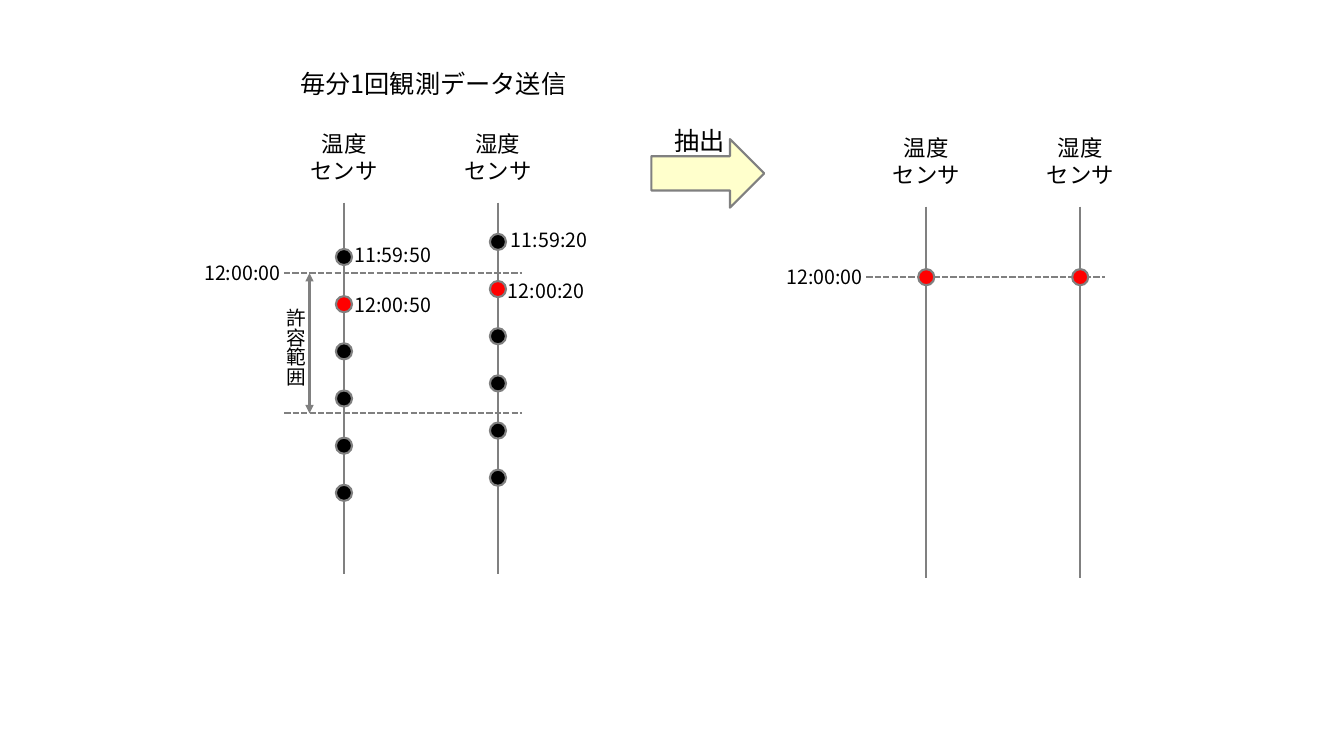
from pptx import Presentation
from pptx.dml.color import RGBColor
from pptx.enum.dml import MSO_LINE
from pptx.enum.shapes import MSO_CONNECTOR, MSO_SHAPE
from pptx.enum.text import MSO_AUTO_SIZE, PP_ALIGN
from pptx.oxml.ns import qn
from pptx.util import Inches, Pt
from lxml import etree

STRAIGHT = MSO_CONNECTOR.STRAIGHT
OVAL, ARROW = MSO_SHAPE.OVAL, MSO_SHAPE.RIGHT_ARROW
DASH = MSO_LINE.SQUARE_DOT
FIT = MSO_AUTO_SIZE.SHAPE_TO_FIT_TEXT
LEFT, CENTER = PP_ALIGN.LEFT, PP_ALIGN.CENTER
BLACK = RGBColor(0x00, 0x00, 0x00)
RED = RGBColor(0xFF, 0x00, 0x00)
GRAY = RGBColor(0x80, 0x80, 0x80)
CREAM = RGBColor(0xFF, 0xFF, 0xCC)
SENSORS = ["温度\nセンサ", "湿度\nセンサ"]
SENSOR_GAP, DOT_GAP, DOT = 15.27, 4.68, 1.6
LEFT_AXIS, RIGHT_AXIS = 34.12, 91.87


class Diagram:
    """Draws elements on a slide, with lengths in cells of a 0.1 inch grid."""

    def __init__(self, slide):
        self.s = slide
        self.font = "Noto Sans CJK JP"
        self.weight = Pt(1.5)
        self.cell = Inches(0.1)

    def grid(self, *cells):
        return [round(c * self.cell) for c in cells]

    def text(self, text, x, y, w, h, size=14, align=LEFT, wrap=False, vert=None):
        tf = self.s.shapes.add_textbox(*self.grid(x, y, w, h)).text_frame
        tf.word_wrap = wrap
        tf.auto_size = FIT
        if vert:
            tf._txBody.bodyPr.set("vert", vert)
        for i, row in enumerate(text.split("\n")):
            p = tf.add_paragraph() if i else tf.paragraphs[0]
            p.alignment = align
            r = p.add_run()
            r.text = row
            r.font.size = Pt(size)
            r.font.color.rgb = BLACK
            r.font.name = self.font
            ea = etree.SubElement(r._r.get_or_add_rPr(), qn("a:ea"))
            ea.set("typeface", self.font)

    def line(self, x1, y1, x2, y2, dash=None, arrows=False):
        c = self.s.shapes.add_connector(STRAIGHT, *self.grid(x1, y1, x2, y2))
        c.line.color.rgb = GRAY
        c.line.width = self.weight
        if dash:
            c.line.dash_style = dash
        if arrows:
            for end in ("a:headEnd", "a:tailEnd"):
                etree.SubElement(c.line._get_or_add_ln(), qn(end)).set("type", "triangle")
        etree.SubElement(c._element.spPr, qn("a:effectLst"))

    def shape(self, kind, x, y, w, h, fill):
        sp = self.s.shapes.add_shape(kind, *self.grid(x, y, w, h))
        sp.shadow.inherit = False
        sp.fill.solid()
        sp.fill.fore_color.rgb = fill
        sp.line.color.rgb = GRAY
        sp.line.width = self.weight

    def dot(self, x, y, fill):
        self.shape(OVAL, x - DOT / 2, y - DOT / 2, DOT, DOT, fill)

    def panel(self, axis, top, dots):
        self.line(axis - 5.95, top + 14.7, axis + 17.7, top + 14.7, dash=DASH)
        self.text("12:00:00", axis - 14.85, top + 13, 9.7, 3.4)
        for i, (label, column) in enumerate(zip(SENSORS, dots)):
            x = axis + i * SENSOR_GAP
            self.text(label, x - 4.4, top, 8.8, 6.4, size=16, align=CENTER)
            self.line(x, top + 7.7, x, top + 44.5)
            for y, fill in column:
                self.dot(x, y, fill)


def readings(first):
    return [(first + i * DOT_GAP, RED if i == 1 else BLACK) for i in range(6)]


def main():
    prs = Presentation()
    prs.slide_width, prs.slide_height = Inches(13.33), Inches(7.5)
    d = Diagram(prs.slides.add_slide(prs.slide_layouts[6]))

    d.text("毎分1回観測データ送信", 28.8, 6.3, 28.7, 4, size=18, wrap=True)
    d.panel(LEFT_AXIS, 12.4, [readings(25.5), readings(24)])
    for time, x, y in [("11:59:50", 34.2, 23.6), ("12:00:50", 34.2, 28.6),
                       ("11:59:20", 49.7, 22.1), ("12:00:20", 49.4, 27.2)]:
        d.text(time, x, y, 9.7, 3.4)

    d.line(28.2, 41, 51.8, 41, dash=DASH)
    d.line(30.7, 27.1, 30.7, 41, arrows=True)
    d.text("許容範囲", 26.6, 29.6, 4.4, 8.9, vert="eaVert")

    d.shape(ARROW, 64.6, 13.8, 11.2, 6.8, CREAM)
    d.text("抽出", 65.9, 11.9, 7.1, 4, size=18)
    d.panel(RIGHT_AXIS, 12.8, [[(27.5, RED)]] * 2)
    prs.save("out.pptx")


if __name__ == "__main__":
    main()
